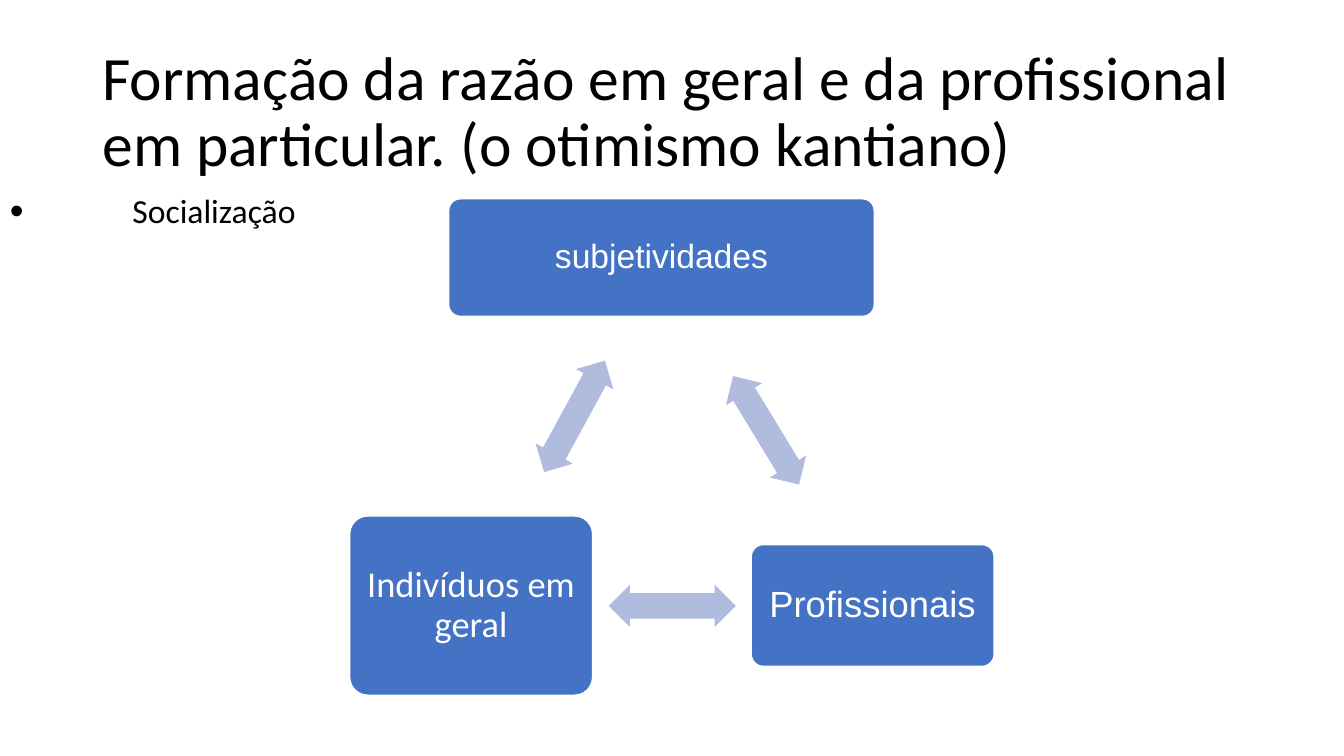
from dataclasses import dataclass

from lxml import etree
from pptx import Presentation
from pptx.dml.color import RGBColor
from pptx.enum.shapes import MSO_SHAPE
from pptx.enum.text import MSO_ANCHOR, MSO_AUTO_SIZE, PP_ALIGN
from pptx.oxml.ns import qn
from pptx.util import Pt

ROUNDED = MSO_SHAPE.ROUNDED_RECTANGLE
DOUBLE_ARROW = MSO_SHAPE.LEFT_RIGHT_ARROW
MIDDLE = MSO_ANCHOR.MIDDLE
TOP = MSO_ANCHOR.TOP
LEFT = PP_ALIGN.LEFT
CENTER = PP_ALIGN.CENTER
NO_FIT = MSO_AUTO_SIZE.NONE
TITLE_ONLY = 5


@dataclass(frozen=True)
class Theme:
    ink: RGBColor = RGBColor(0, 0, 0)
    paper: RGBColor = RGBColor(255, 255, 255)
    node: RGBColor = RGBColor(0x44, 0x72, 0xC4)
    arrow: RGBColor = RGBColor(0xB0, 0xBC, 0xDE)
    body_font: str = "Calibri"
    node_font: str = "Arial"
    title_size: int = 44
    body_size: int = 24
    node_size: int = 26
    line_spacing: float = 0.9


class PageBuilder:
    def __init__(self, page, theme):
        self.page = page
        self.theme = theme

    def set_text(self, shape, text, size, color, font, align, anchor):
        frame = shape.text_frame
        frame.word_wrap = True
        frame.auto_size = NO_FIT
        frame.vertical_anchor = anchor
        frame.text = text
        para = frame.paragraphs[0]
        para.alignment = align
        para.line_spacing = self.theme.line_spacing
        para.font.size = Pt(size)
        para.font.name = font
        para.font.color.rgb = color
        return para

    def title(self, text, left, top, width, height):
        box = self.page.shapes.title
        box.left, box.top = Pt(left), Pt(top)
        box.width, box.height = Pt(width), Pt(height)
        self.set_text(box, text, self.theme.title_size, self.theme.ink,
                      self.theme.body_font, LEFT, MIDDLE)

    def bullet(self, text, left, top, width, height, indent):
        box = self.page.shapes.add_textbox(Pt(left), Pt(top), Pt(width), Pt(height))
        para = self.set_text(box, text, self.theme.body_size, self.theme.ink,
                             self.theme.body_font, LEFT, TOP)
        properties = para._p.get_or_add_pPr()
        properties.set("marL", str(Pt(indent)))
        properties.set("indent", str(-Pt(indent)))
        marks = [("a:buSzPct", "val", "117000"),
                 ("a:buFont", "typeface", self.theme.node_font),
                 ("a:buChar", "char", "•")]
        position = properties.index(properties.find(qn("a:defRPr")))
        for offset, (tag, key, value) in enumerate(marks):
            mark = etree.Element(qn(tag))
            mark.set(key, value)
            properties.insert(position + offset, mark)

    def shape(self, kind, left, top, width, height, fill):
        shape = self.page.shapes.add_shape(kind, Pt(left), Pt(top), Pt(width), Pt(height))
        shape.shadow.inherit = False
        shape.fill.solid()
        shape.fill.fore_color.rgb = fill
        return shape

    def node(self, text, left, top, width, height, size, font):
        box = self.shape(ROUNDED, left, top, width, height, self.theme.node)
        box.adjustments[0] = 0.1
        box.line.color.rgb = self.theme.paper
        box.line.width = Pt(1)
        frame = box.text_frame
        frame.margin_left = frame.margin_right = Pt(7.5)
        frame.margin_top = frame.margin_bottom = Pt(7.5)
        self.set_text(box, text, size, self.theme.paper, font, CENTER, MIDDLE)

    def arrow(self, center_x, center_y, angle):
        width, height = 90.7, 30.3
        arrow = self.shape(DOUBLE_ARROW, center_x - width / 2, center_y - height / 2,
                           width, height, self.theme.arrow)
        arrow.adjustments[0] = 0.6
        arrow.adjustments[1] = 0.5
        arrow.line.fill.background()
        arrow.rotation = angle


def main():
    theme = Theme()
    deck = Presentation()
    deck.slide_width, deck.slide_height = Pt(960), Pt(540)
    builder = PageBuilder(deck.slides.add_slide(deck.slide_layouts[TITLE_ONLY]), theme)

    builder.title("Formação da razão em geral e da profissional em particular. "
                  "(o otimismo kantiano)", 66, 28.75, 828, 104.4)

    builder.node("subjetividades", 320.5, 142, 304, 84, theme.body_size, theme.node_font)
    builder.node("Profissionais", 536.6, 389, 173.5, 87, theme.node_size, theme.node_font)
    builder.node("Indivíduos em geral", 249.8, 368.6, 173.5, 128,
                 theme.node_size, theme.body_font)

    for center_x, center_y, angle in [(547.2, 307.4, 58.7),
                                      (480.2, 432.7, 180),
                                      (410.4, 297.4, 298.6)]:
        builder.arrow(center_x, center_y, angle)

    builder.bullet("Socialização", 0, 135.5, 406, 65, 87.5)
    deck.save("out.pptx")


if __name__ == "__main__":
    main()
